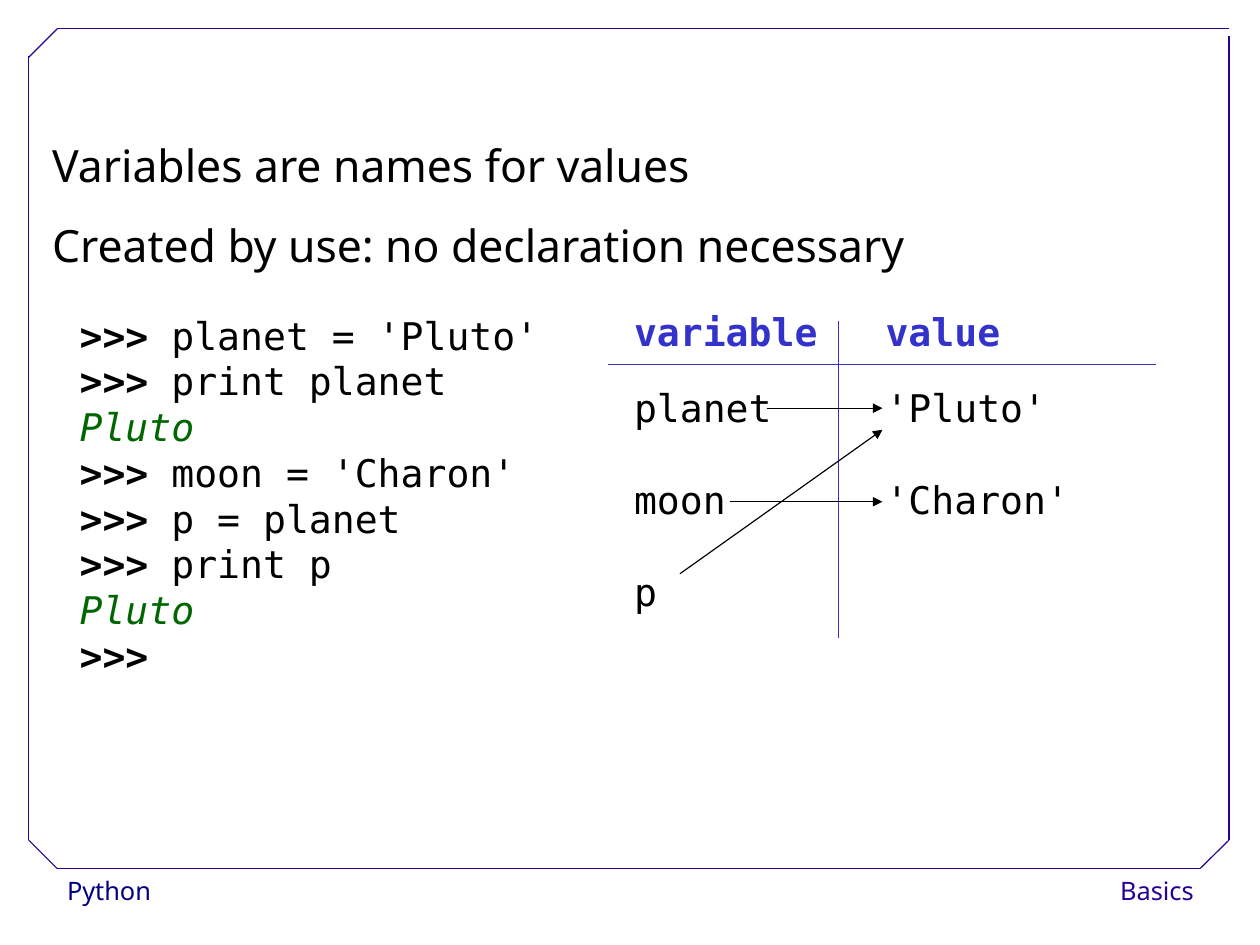
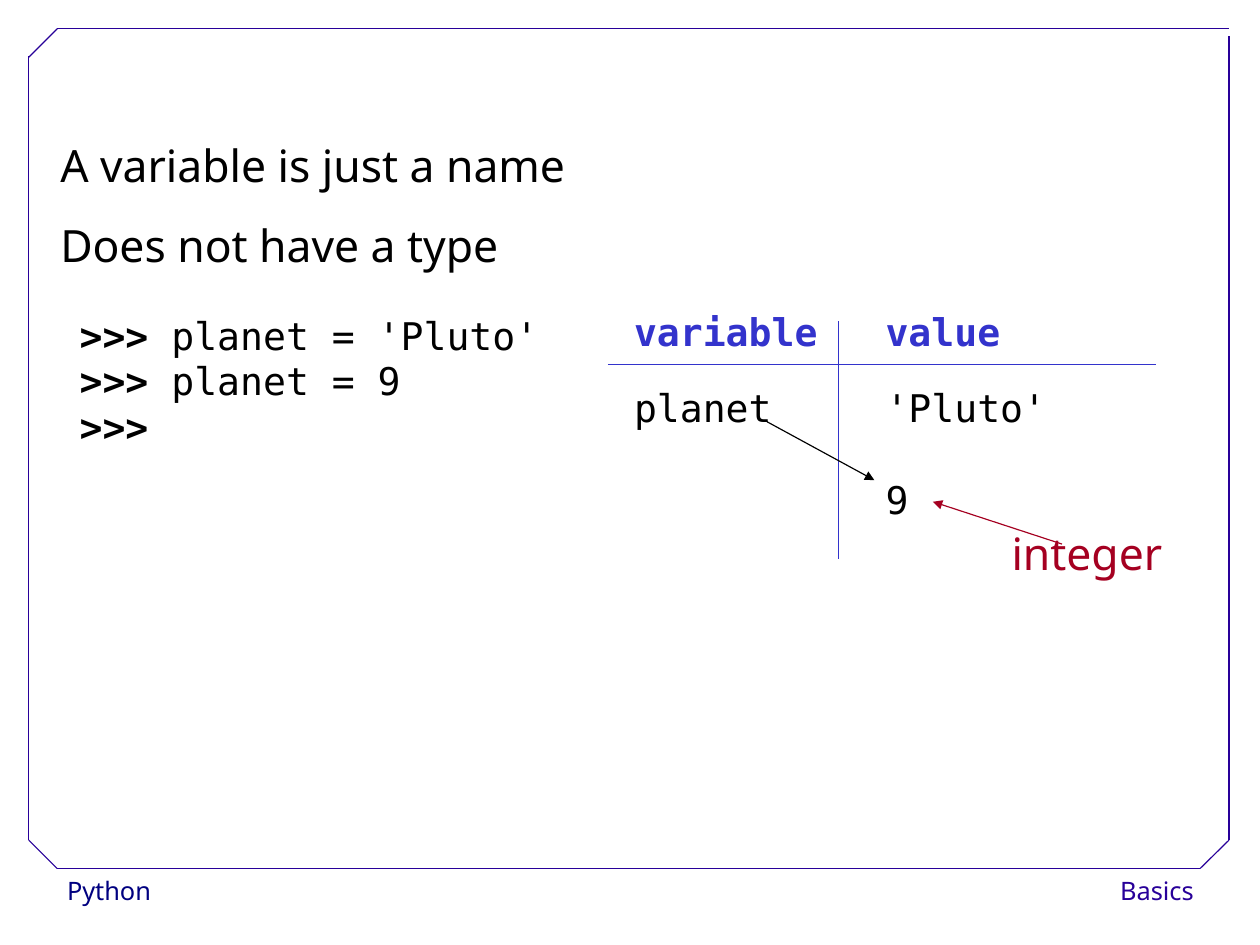
"""Build two slides on how Python variables name values."""
from dataclasses import dataclass
from typing import NamedTuple

from pptx import Presentation
from pptx.dml.color import RGBColor
from pptx.enum.shapes import MSO_CONNECTOR
from pptx.enum.text import MSO_AUTO_SIZE, PP_ALIGN
from pptx.oxml.ns import qn
from pptx.slide import Slide
from pptx.text.text import TextFrame
from pptx.util import Cm, Pt
from lxml.etree import SubElement

PROMPT = ">>>"


@dataclass(frozen=True)
class Theme:
    sans: str = "Noto Sans"
    mono: str = "DejaVu Sans Mono"
    statement_size: int = 28
    code_size: int = 24
    footer_size: int = 16
    line_width: float = 0.75
    ink: str = "000000"
    paper: str = "FFFFFF"
    frame: str = "280099"
    footer: str = "000080"
    table: str = "3333CC"
    output: str = "006600"
    callout: str = "A50021"


THEME = Theme()


class Style(NamedTuple):
    font: str
    size: int
    color: str
    line_spacing: float = 1.0
    bold: bool = False
    gap: float = 0
    align: PP_ALIGN = PP_ALIGN.LEFT


class Box(NamedTuple):
    left: float
    top: float
    width: float
    height: float


class Line(NamedTuple):
    x1: float
    y1: float
    x2: float
    y2: float


class Column(NamedTuple):
    heading: str
    left: float
    entries: list[str]


@dataclass(frozen=True)
class Lesson:
    statements: list[str]
    statements_left: float
    code: list[str]
    names: list[str]
    values: list[str]
    divider_bottom: float
    arrows: list[Line]


STATEMENT = Style(THEME.sans, THEME.statement_size, THEME.ink, 1.5)
CALLOUT = STATEMENT._replace(color=THEME.callout)
CODE = Style(THEME.mono, THEME.code_size, THEME.ink)
ENTRY = CODE._replace(gap=29)
HEADING = CODE._replace(color=THEME.table, line_spacing=0.93, bold=True)
FOOTER = Style(THEME.sans, THEME.footer_size, THEME.footer, 1.02)

FRAME = [
    Line(1.27, 19.3, 26.67, 19.3),
    Line(0.64, 18.67, 0.64, 1.24),
    Line(1.27, 0.64, 27.31, 0.64),
    Line(27.31, 18.67, 27.31, 0.81),
    Line(0.64, 1.27, 1.27, 0.64),
    Line(26.67, 19.3, 27.31, 18.67),
    Line(0.64, 18.67, 1.27, 19.3),
]

LESSONS = [
    Lesson(
        statements=["Variables are names for values", "Created by use: no declaration necessary"],
        statements_left=0.91,
        code=[
            ">>> planet = 'Pluto'",
            ">>> print planet",
            "Pluto",
            ">>> moon = 'Charon'",
            ">>> p = planet",
            ">>> print p",
            "Pluto",
            ">>>",
        ],
        names=["planet", "moon", "p"],
        values=["'Pluto'", "'Charon'"],
        divider_bottom=14.17,
        arrows=[
            Line(17.04, 9.07, 19.61, 9.07),
            Line(16.23, 11.15, 19.61, 11.15),
            Line(15.11, 12.75, 19.61, 9.55),
        ],
    ),
    Lesson(
        statements=["A variable is just a name", "Does not have a type"],
        statements_left=1.09,
        code=[">>> planet = 'Pluto'", ">>> planet = 9", ">>>"],
        names=["planet"],
        values=["'Pluto'", "9"],
        divider_bottom=12.42,
        arrows=[Line(17.04, 9.37, 19.43, 10.67)],
    ),
]


def add_line(slide: Slide, line: Line, color: str, arrow: bool = False) -> None:
    """Draw a thin straight line, with an arrowhead at its end if asked."""
    connector = slide.shapes.add_connector(MSO_CONNECTOR.STRAIGHT, *map(Cm, line))
    connector.line.color.rgb = RGBColor.from_string(color)
    connector.line.width = Pt(THEME.line_width)
    if arrow:
        SubElement(connector.line._get_or_add_ln(), qn("a:tailEnd"), type="triangle")
    SubElement(connector.element.spPr, qn("a:effectLst"))


def add_text(slide: Slide, box: Box, lines: list[str], style: Style, fill: str = "") -> TextFrame:
    """Write one paragraph per line, with the prompts of code in bold."""
    shape = slide.shapes.add_textbox(*map(Cm, box))
    if fill:
        shape.fill.solid()
        shape.fill.fore_color.rgb = RGBColor.from_string(fill)
    frame = shape.text_frame
    frame.word_wrap = True
    for index, line in enumerate(lines):
        paragraph = frame.paragraphs[0] if index == 0 else frame.add_paragraph()
        paragraph.alignment = style.align
        paragraph.line_spacing = style.line_spacing
        if index and style.gap:
            paragraph.space_before = Pt(style.gap)
        font = paragraph.font
        font.name, font.size, font.bold = style.font, Pt(style.size), style.bold
        font.color.rgb = RGBColor.from_string(style.color)
        if line.startswith(PROMPT):
            paragraph.add_run().text = PROMPT
            paragraph.runs[0].font.bold = True
            line = line.removeprefix(PROMPT)
        if line:
            paragraph.add_run().text = line
    return frame


def add_statements(slide: Slide, box: Box, lines: list[str], style: Style) -> None:
    """Write large text in a box that grows with it."""
    add_text(slide, box, lines, style).auto_size = MSO_AUTO_SIZE.SHAPE_TO_FIT_TEXT


def add_code(slide: Slide, lines: list[str]) -> None:
    """Write an interpreter session, with its output in green italics."""
    frame = add_text(slide, Box(1.52, 6.81, 11.2, 8.15), lines, CODE)
    for paragraph in frame.paragraphs:
        if not paragraph.text.startswith(PROMPT):
            paragraph.font.italic = True
            paragraph.font.color.rgb = RGBColor.from_string(THEME.output)


def add_background(slide: Slide) -> None:
    """Draw the footers and the frame that all slides share."""
    add_text(slide, Box(1.24, 19.3, 5.46, 1.02), ["Python"], FOOTER, THEME.paper)
    right_footer = FOOTER._replace(color=THEME.frame, align=PP_ALIGN.RIGHT)
    add_text(slide, Box(23.22, 19.3, 3.56, 1.02), ["Basics"], right_footer, THEME.paper)
    for line in FRAME:
        add_line(slide, line, THEME.frame)


def add_diagram(slide: Slide, lesson: Lesson) -> None:
    """Draw the variables, their values and the arrows between them."""
    add_line(slide, Line(13.51, 8.1, 25.68, 8.1), THEME.table)
    add_line(slide, Line(18.64, 7.14, 18.64, lesson.divider_bottom), THEME.table)
    columns = [Column("variable", 13.84, lesson.names), Column("value", 19.43, lesson.values)]
    for column in columns:
        add_text(slide, Box(column.left, 6.83, 5.08, 1.27), [column.heading], HEADING)
        add_text(slide, Box(column.left, 8.42, 5.08, 5.28), column.entries, ENTRY)
    for arrow in lesson.arrows:
        add_line(slide, arrow, THEME.ink, arrow=True)


def add_lesson(presentation: Presentation, lesson: Lesson) -> Slide:
    """Add one slide with statements, code and diagram."""
    slide = presentation.slides.add_slide(presentation.slide_layouts[6])
    add_background(slide)
    add_statements(slide, Box(lesson.statements_left, 2.34, 22, 3.81), lesson.statements, STATEMENT)
    add_code(slide, lesson.code)
    add_diagram(slide, lesson)
    return slide


def main() -> None:
    """Build and save the presentation."""
    presentation = Presentation()
    presentation.slide_width, presentation.slide_height = Cm(28), Cm(21)
    slides = [add_lesson(presentation, lesson) for lesson in LESSONS]
    add_statements(slides[-1], Box(22.23, 10.97, 5, 2.03), ["integer"], CALLOUT)
    add_line(slides[-1], Line(23.6, 12.09, 20.73, 11.15), THEME.callout, arrow=True)
    presentation.save("out.pptx")


if __name__ == "__main__":
    main()
